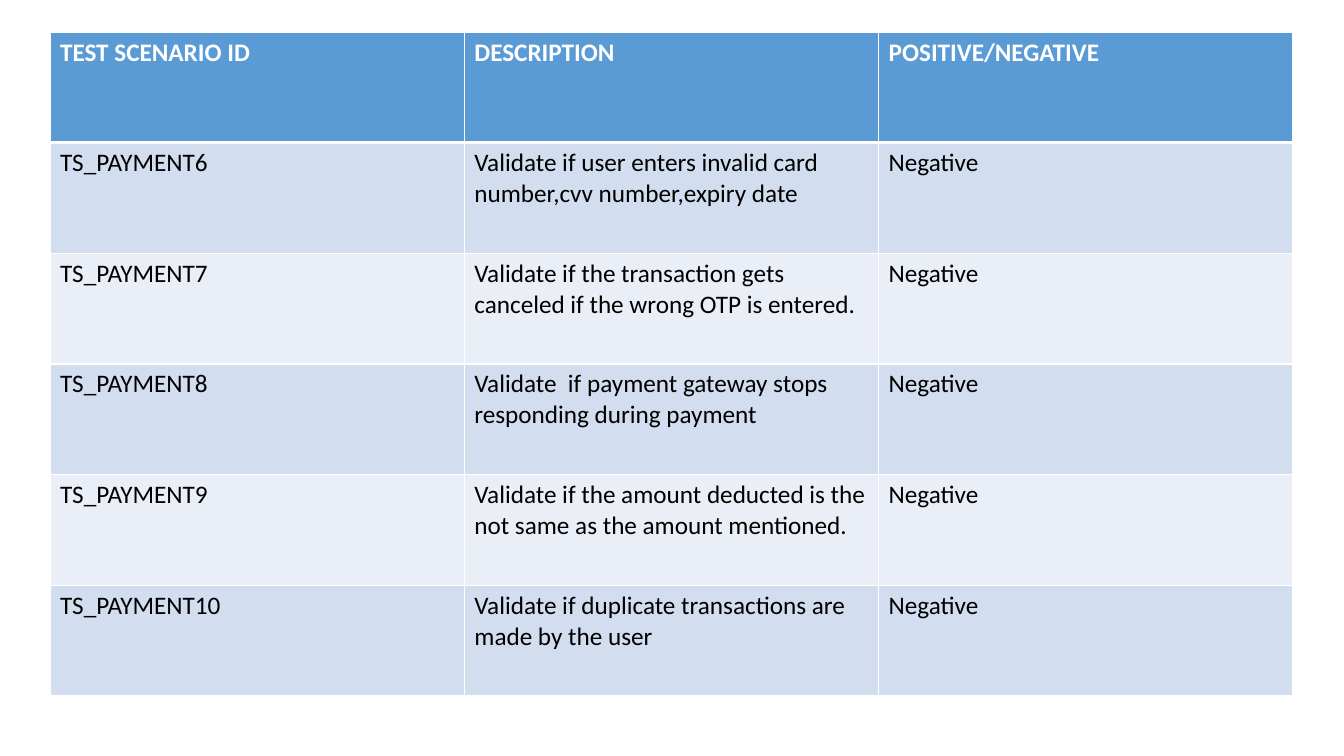
from dataclasses import dataclass

from lxml import etree
from pptx import Presentation
from pptx.dml.color import RGBColor
from pptx.oxml.ns import qn
from pptx.util import Pt

PX = 12192000 / 1344
BLANK_LAYOUT = 6


@dataclass(frozen=True)
class Theme:
    """Colours, font and sizes of the slide."""
    font: str = "Calibri"
    size: int = 18
    header_fill: str = "5B9BD5"
    header_text: str = "FFFFFF"
    body_text: str = "000000"
    bands: tuple = ("D2DEEF", "EAEFF7")
    border: str = "FFFFFF"
    thin: int = 1
    thick: int = 3


THEME = Theme()
HEADER = ("TEST SCENARIO ID", "DESCRIPTION", "POSITIVE/NEGATIVE")
FIRST_ID = 6
DESCRIPTIONS = (
    "Validate if user enters invalid card number,cvv number,expiry date",
    "Validate if the transaction gets canceled if the wrong OTP is entered.",
    "Validate  if payment gateway stops responding during payment",
    "Validate if the amount deducted is the not same as the amount mentioned.",
    "Validate if duplicate transactions are made by the user",
)


def px(n):
    """Turn pixels into EMU."""
    return round(n * PX)


def set_borders(cell, widths):
    """Draw the cell's borders with the given widths in points."""
    tc_pr = cell._tc.get_or_add_tcPr()
    for side, width in widths.items():
        ln = etree.SubElement(tc_pr, qn(f"a:ln{side}"), w=str(Pt(width)))
        fill = etree.SubElement(ln, qn("a:solidFill"))
        etree.SubElement(fill, qn("a:srgbClr"), val=THEME.border)


def fill_cell(cell, text, row):
    """Write and format one cell according to its row."""
    header = row == 0
    widths = dict.fromkeys("LRTB", THEME.thin)
    if row < 2:
        widths["B" if header else "T"] = THEME.thick
    set_borders(cell, widths)
    color = THEME.header_fill if header else THEME.bands[(row - 1) % 2]
    cell.fill.solid()
    cell.fill.fore_color.rgb = RGBColor.from_string(color)
    r = cell.text_frame.paragraphs[0].add_run()
    r.text = text
    style = {"name": THEME.font, "size": Pt(THEME.size), "bold": header}
    for name, value in style.items():
        setattr(r.font, name, value)
    color = THEME.header_text if header else THEME.body_text
    r.font.color.rgb = RGBColor.from_string(color)


def add_scenario_table(s, rows, x, y, w, h):
    """Place the test scenario table in the given box."""
    frame = s.shapes.add_table(len(rows), len(rows[0]), px(x), px(y), px(w), px(h))
    for i, row in enumerate(rows):
        for j, text in enumerate(row):
            fill_cell(frame.table.cell(i, j), text, i)


def main():
    """Build the slide and save it."""
    prs = Presentation()
    prs.slide_width, prs.slide_height = px(1344), px(756)
    s = prs.slides.add_slide(prs.slide_layouts[BLANK_LAYOUT])
    scenarios = [
        (f"TS_PAYMENT{n}", description, "Negative")
        for n, description in enumerate(DESCRIPTIONS, FIRST_ID)
    ]
    add_scenario_table(s, [HEADER, *scenarios], 50, 32, 1243, 664)
    prs.save("out.pptx")


if __name__ == "__main__":
    main()
